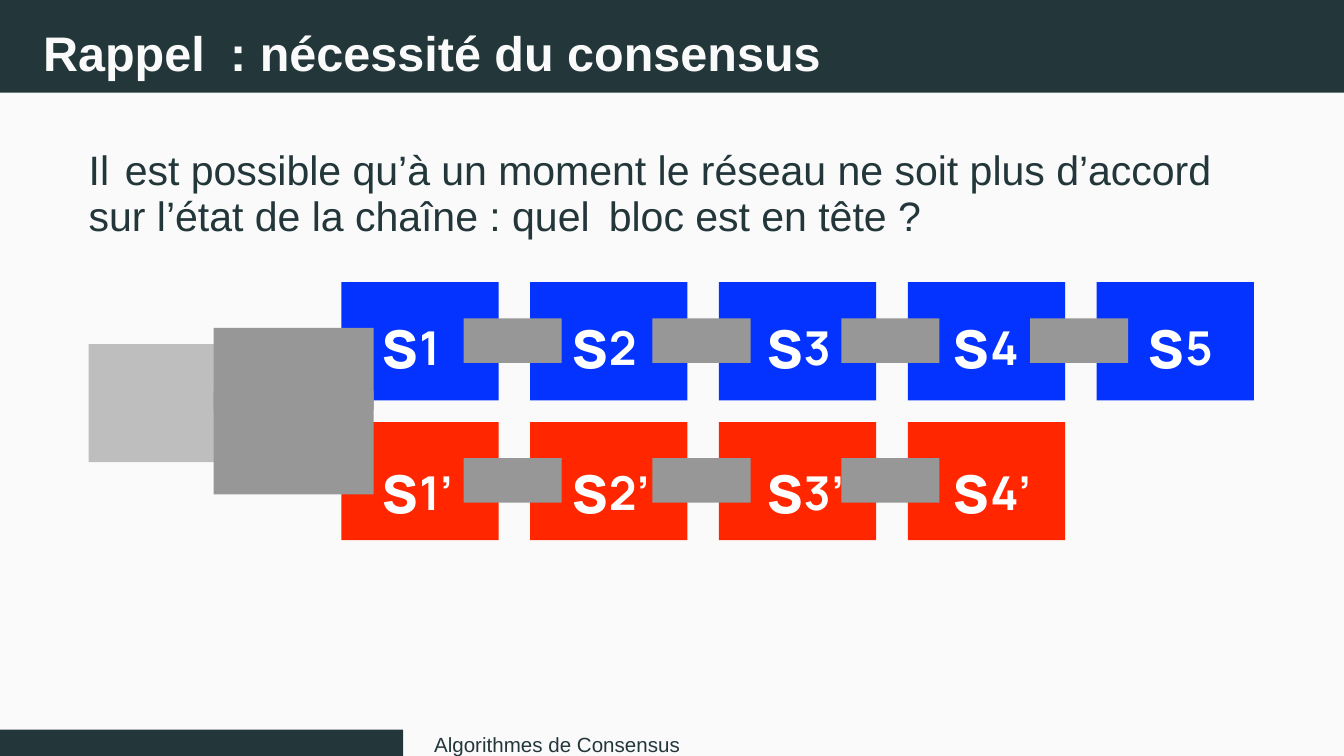
from dataclasses import dataclass

from pptx import Presentation
from pptx.dml.color import RGBColor
from pptx.enum.shapes import MSO_SHAPE
from pptx.enum.text import MSO_ANCHOR, MSO_AUTO_SIZE, PP_ALIGN
from pptx.oxml.ns import qn
from pptx.util import Inches, Pt

DARK = RGBColor(0x23, 0x37, 0x3B)
PAPER = RGBColor(0xFA, 0xFA, 0xFA)
WHITE = RGBColor(0xFF, 0xFF, 0xFF)
BLUE = RGBColor(0x04, 0x33, 0xFF)
RED = RGBColor(0xFF, 0x26, 0x00)
LIGHT_GREY = RGBColor(0xBF, 0xBE, 0xBE)
GREY = RGBColor(0x97, 0x97, 0x97)

SLIDE_WIDTH = 10
SLIDE_HEIGHT = SLIDE_WIDTH * 9 / 16
BLOCK_WIDTH, BLOCK_HEIGHT = 1.17, 0.88
FIRST_BLOCK_LEFT, LAST_BLOCK_LEFT = 2.54, 8.16
LABEL_LEFTS = (2.84, 4.25, 5.7, 7.09, 8.54)
BLOCK_PITCH = (LAST_BLOCK_LEFT - FIRST_BLOCK_LEFT) / (len(LABEL_LEFTS) - 1)


@dataclass(frozen=True)
class Box:
    left: float
    top: float
    width: float
    height: float

    def lengths(self):
        return tuple(Inches(v) for v in (self.left, self.top, self.width, self.height))


@dataclass(frozen=True)
class Gap:
    """A space widened by some points, right after a given word."""
    after: str
    extra: float


@dataclass(frozen=True)
class Chain:
    top: float
    label_top: float
    color: RGBColor
    count: int
    suffix: str = ""


CHAINS = (
    Chain(2.1, 2.23, BLUE, 5),
    Chain(3.14, 3.31, RED, 4, "’"),
)


def write_text(frame, text: str, *, size: float, color: RGBColor, font: str = "Arial",
               bold: bool = False, wrap: bool = False, line_spacing=None,
               gaps: tuple[Gap, ...] = ()) -> None:
    frame.margin_left = frame.margin_right = frame.margin_top = frame.margin_bottom = 0
    frame.auto_size = MSO_AUTO_SIZE.NONE
    frame.vertical_anchor = MSO_ANCHOR.TOP
    frame.word_wrap = wrap
    paragraph = frame.paragraphs[0]
    paragraph.alignment = PP_ALIGN.LEFT
    paragraph.space_before = Pt(0)
    if line_spacing:
        paragraph.line_spacing = line_spacing

    pieces = []
    for gap in gaps:
        start, _, text = text.partition(gap.after + " ")
        pieces += [(start + gap.after, 0), (" ", gap.extra)]
    pieces.append((text, 0))
    for piece, extra in pieces:
        run = paragraph.add_run()
        run.text = piece
        run.font.name = font
        run.font.size = Pt(size)
        run.font.bold = bold
        run.font.color.rgb = color
        if extra:
            run._r.get_or_add_rPr().set("spc", str(round(extra * 100)))


def add_text(slide, box: Box, text: str, **text_format) -> None:
    write_text(slide.shapes.add_textbox(*box.lengths()).text_frame, text, **text_format)


def add_rectangle(slide, box: Box, color: RGBColor):
    shape = slide.shapes.add_shape(MSO_SHAPE.RECTANGLE, *box.lengths())
    shape.shadow.inherit = False
    shape.fill.solid()
    shape.fill.fore_color.rgb = color
    shape.line.fill.background()
    return shape


def place(placeholder, box: Box) -> None:
    (placeholder.left, placeholder.top,
     placeholder.width, placeholder.height) = box.lengths()


def remove_bullet(paragraph) -> None:
    properties = paragraph._p.get_or_add_pPr()
    properties.set("marL", "0")
    properties.set("indent", "0")
    properties.append(properties.makeelement(qn("a:buNone"), {}))


def add_blocks(slide, chain: Chain) -> None:
    for index in range(chain.count):
        left = FIRST_BLOCK_LEFT + index * BLOCK_PITCH
        add_rectangle(slide, Box(left, chain.top, BLOCK_WIDTH, BLOCK_HEIGHT), chain.color)


def add_labels(slide, chain: Chain) -> None:
    style = dict(font="Manrope", color=WHITE, bold=True)
    for number, left in enumerate(LABEL_LEFTS[:chain.count], start=1):
        add_text(slide, Box(left, chain.label_top, 0.56, 0.49), "s", size=37, **style)
        add_text(slide, Box(left + 0.28, chain.label_top + 0.14, 0.4, 0.33),
                 f"{number}{chain.suffix}", size=25, **style)


def add_links(slide, chain: Chain) -> None:
    for index in range(chain.count - 1):
        left = FIRST_BLOCK_LEFT + 0.91 + index * BLOCK_PITCH
        add_rectangle(slide, Box(left, chain.top + 0.27, 0.73, 0.33), GREY)


def main() -> None:
    presentation = Presentation()
    presentation.slide_width = Inches(SLIDE_WIDTH)
    presentation.slide_height = Inches(SLIDE_HEIGHT)
    slide = presentation.slides.add_slide(presentation.slide_layouts[1])

    # The header goes behind the title, and the paper behind everything.
    for height, color in ((0.69, DARK), (SLIDE_HEIGHT, PAPER)):
        backdrop = add_rectangle(slide, Box(0, 0, SLIDE_WIDTH, height), color)
        slide.shapes._spTree.insert(2, backdrop._element)

    title, body = slide.placeholders
    place(title, Box(0.32, 0.17, 7, 0.42))
    write_text(title.text_frame, "Rappel : nécessité du consensus", size=26,
               color=PAPER, bold=True, gaps=(Gap("Rappel", 6.2),))

    place(body, Box(0.66, 1.1, 8.6, 0.75))
    write_text(body.text_frame,
               "Il est possible qu’à un moment le réseau ne soit plus d’accord "
               "sur l’état de la chaîne : quel bloc est en tête ?",
               size=22, color=DARK, wrap=True, line_spacing=Pt(24.6),
               gaps=(Gap("Il", 2.3), Gap("quel", 4)))
    remove_bullet(body.text_frame.paragraphs[0])

    add_rectangle(slide, Box(0.66, 2.56, BLOCK_WIDTH, BLOCK_HEIGHT), LIGHT_GREY)
    for draw in (add_blocks, add_labels):
        for chain in CHAINS:
            draw(slide, chain)

    # The fork joins the common block to both chains.
    add_rectangle(slide, Box(1.59, 2.44, 1.19, 0.61), GREY)
    add_rectangle(slide, Box(1.59, 2.91, 1.19, 0.77), GREY)
    for chain in CHAINS:
        add_links(slide, chain)

    add_rectangle(slide, Box(0, 5.43, 3, 0.2), DARK)
    add_text(slide, Box(3.23, 5.45, 2.22, 0.14), "Algorithmes de Consensus",
             size=11, color=DARK)

    presentation.save("out.pptx")


if __name__ == "__main__":
    main()
